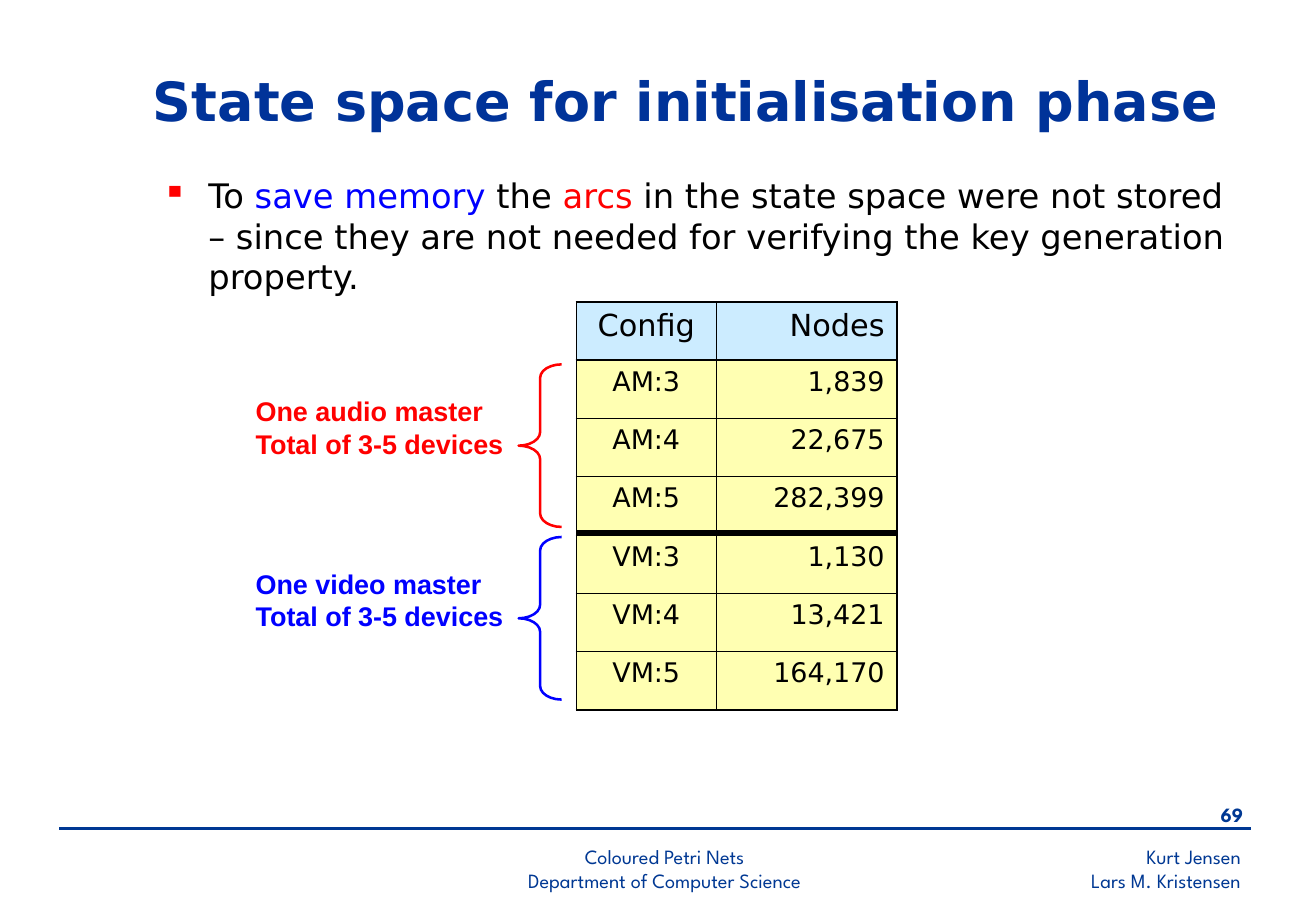
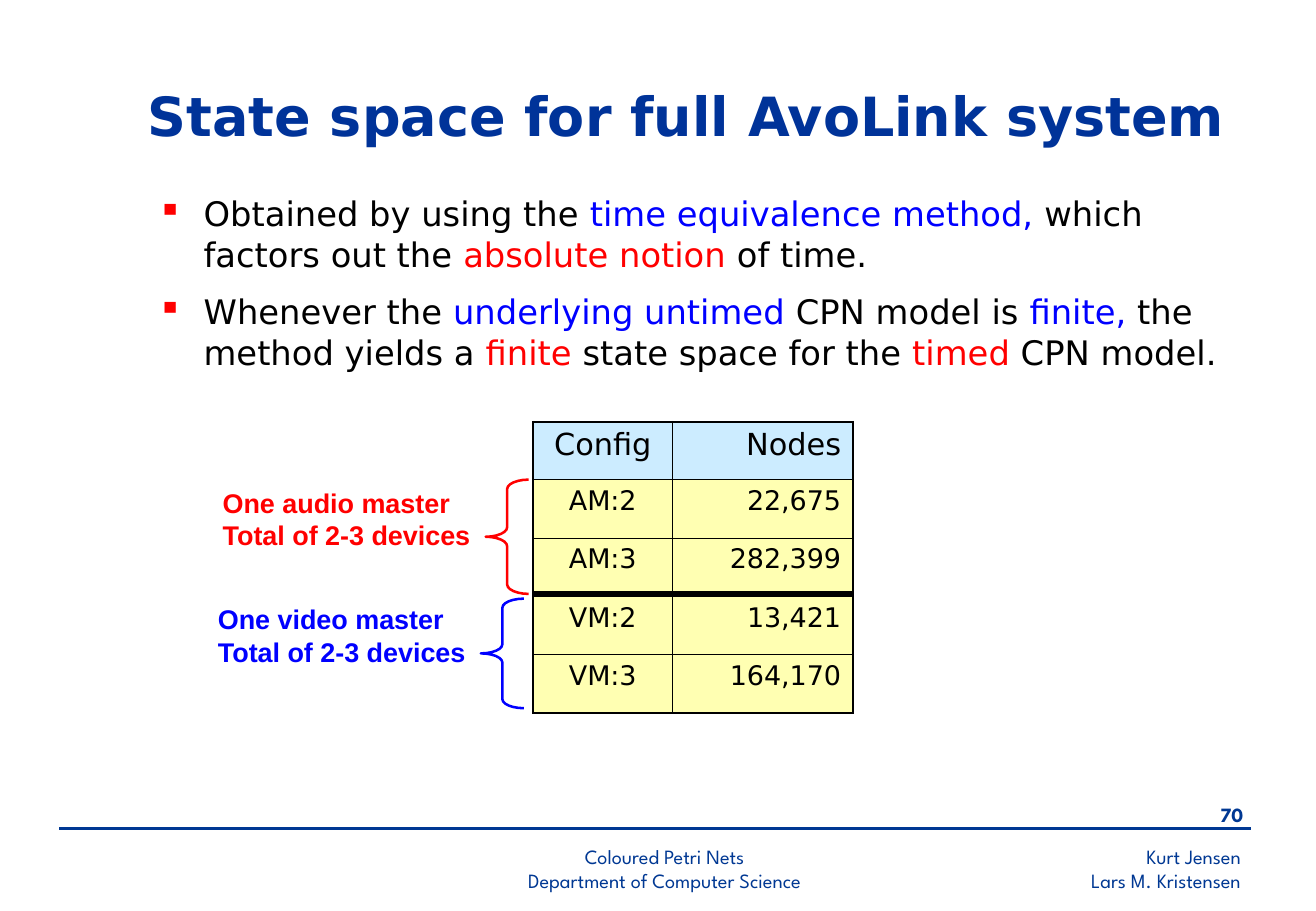
from lxml import etree
from pptx import Presentation
from pptx import util as u
from pptx.dml.color import RGBColor
from pptx.enum import shapes, text
from pptx.oxml import ns


class Theme:
    title_color = "003399"
    footer_color = "003893"
    ink = "000000"
    red = "FF0000"
    blue = "0000FF"
    header_fill = "CCECFF"
    row_fill = "FFFF66"
    row_alpha = 50
    thin, edge, rule, divider = 0.45, 1.08, 1.5, 3
    title = {"name": "DejaVu Sans", "size": u.Pt(32), "bold": True}
    body = {"name": "DejaVu Sans", "size": u.Pt(20)}
    header = {"name": "DejaVu Sans", "size": u.Pt(18)}
    cell = {"name": "DejaVu Sans", "size": u.Pt(16)}
    label = {"name": "Arial", "size": u.Pt(16), "bold": True}
    footer = {"name": "League Spartan", "size": u.Pt(12)}
    page = {"name": "League Spartan", "size": u.Pt(12), "bold": True}


LEFT, CENTER, RIGHT = (text.PP_ALIGN.LEFT, text.PP_ALIGN.CENTER, text.PP_ALIGN.RIGHT)
TOP, MIDDLE = text.MSO_ANCHOR.TOP, text.MSO_ANCHOR.MIDDLE

SLIDE_SIZE = (27.53, 19.05)
COLUMNS = ((2.92, CENTER), (3.78, RIGHT))
HEADER_HEIGHT, ROW_HEIGHT = 1.21, 1.22
DIVIDER_LIFT = 0.05
BRACE_WIDTH = 0.9
LABEL_SIZE = (6.3, 1.63)
LABEL_GAP, LABEL_LIFT = 5.75, 0.37

HEADINGS = ("Config", "Nodes")
FOOTERS = [
    ((17.65, 17.53, 8.56, 1.27), RIGHT, ("Kurt Jensen", "Lars M. Kristensen")),
    ((8.66, 17.53, 10.49, 1.19), CENTER,
     ("Coloured Petri Nets", "Department of Computer Science")),
]
PAGE_BOX = (24.46, 16.66, 1.8, 0.84)
FOOTER_RULE = (1.24, 17.32, 26.16, 17.32)

SLIDES = [
    {
        "page": 69,
        "title": "State space for initialisation phase",
        "title_box": (2.95, 1.22, 23.5, 1.75),
        "body_box": (3.15, 3.53, 22.91, 2.9),
        "bullets": [
            [("To ", Theme.ink), ("save memory", Theme.blue), (" the ", Theme.ink),
             ("arcs", Theme.red),
             (" in the state space were not stored – since they are not needed "
              "for verifying the key generation property.", Theme.ink)],
        ],
        "table_at": (12.06, 6.32),
        "groups": [
            {"label": ("One audio master", "Total of 3-5 devices"),
             "color": Theme.red, "brace": (10.85, 7.62, 3.4),
             "rows": [("AM:3", "1,839"), ("AM:4", "22,675"), ("AM:5", "282,399")]},
            {"label": ("One video master", "Total of 3-5 devices"),
             "color": Theme.blue, "brace": (10.85, 11.23, 3.4),
             "rows": [("VM:3", "1,130"), ("VM:4", "13,421"), ("VM:5", "164,170")]},
        ],
    },
    {
        "page": 70,
        "title": "State space for full AvoLink system",
        "title_box": (2.84, 1.52, 23.6, 1.75),
        "body_box": (3.05, 3.91, 23.39, 4.39),
        "bullets": [
            [("Obtained by using the ", Theme.ink),
             ("time equivalence method, ", Theme.blue),
             ("which factors out the ", Theme.ink),
             ("absolute notion", Theme.red), (" of time.", Theme.ink)],
            [("Whenever the ", Theme.ink), ("underlying untimed", Theme.blue),
             (" CPN model is ", Theme.ink), ("finite, ", Theme.blue),
             ("the method yields a ", Theme.ink), ("finite", Theme.red),
             (" state space for the ", Theme.ink), ("timed", Theme.red),
             (" CPN model.", Theme.ink)],
        ],
        "table_at": (11.15, 8.82),
        "groups": [
            {"label": ("One audio master", "Total of 2-3 devices"),
             "color": Theme.red, "brace": (10.16, 10.03, 2.39),
             "rows": [("AM:2", "22,675"), ("AM:3", "282,399")]},
            {"label": ("One video master", "Total of 2-3 devices"),
             "color": Theme.blue, "brace": (10.06, 12.52, 2.29),
             "rows": [("VM:2", "13,421"), ("VM:3", "164,170")]},
        ],
    },
]


def apply_format(target, values):
    for name, value in values.items():
        setattr(target, name, value)


def add_xml(parent, tag, **attributes):
    return etree.SubElement(parent, ns.qn(tag), attributes)


def lengths(values):
    return [u.Cm(value) for value in values]


def write_runs(paragraph, runs, font):
    for content, color in runs:
        run = paragraph.add_run()
        run.text = content
        apply_format(run.font, font)
        run.font.color.rgb = RGBColor.from_string(color)


def add_bullet(paragraph):
    properties = paragraph._p.get_or_add_pPr()
    properties.set("marL", str(u.Cm(0.96)))
    properties.set("indent", str(-u.Cm(0.96)))
    add_xml(add_xml(properties, "a:buClr"), "a:srgbClr", val=Theme.red)
    add_xml(properties, "a:buChar", char="▪")


def add_text(slide, box, paragraphs, font, align=LEFT, anchor=TOP, bulleted=False):
    frame = slide.shapes.add_textbox(*lengths(box)).text_frame
    apply_format(frame, {"word_wrap": True, "vertical_anchor": anchor})
    for index, runs in enumerate(paragraphs):
        paragraph = frame.add_paragraph() if index else frame.paragraphs[0]
        paragraph.alignment = align
        if bulleted:
            if index:
                paragraph.space_before = u.Pt(10)
            add_bullet(paragraph)
        write_runs(paragraph, runs, font)


def color_lines(lines, color):
    return [[(line, color)] for line in lines]


def style_line(line, color, width):
    line.color.rgb = RGBColor.from_string(color)
    line.width = u.Pt(width)


def add_line(slide, ends, color, width):
    line = slide.shapes.add_connector(shapes.MSO_CONNECTOR.STRAIGHT, *lengths(ends))
    style_line(line.line, color, width)
    add_xml(line._element.spPr, "a:effectLst")


def set_borders(cell, widths):
    properties = cell._tc.get_or_add_tcPr()
    for index, (side, width) in enumerate(zip("LRTB", widths)):
        border = etree.Element(ns.qn(f"a:ln{side}"), w=str(u.Pt(width)))
        add_xml(add_xml(border, "a:solidFill"), "a:srgbClr", val=Theme.ink)
        properties.insert(index, border)


def add_grid(slide, at, rows, row_height, font, fill, alpha=100):
    width = sum(column for column, _ in COLUMNS)
    box = (*at, width, row_height * len(rows))
    table = slide.shapes.add_table(len(rows), len(COLUMNS), *lengths(box)).table
    apply_format(table, {"first_row": False, "horz_banding": False})
    last_row, last_column = len(rows) - 1, len(COLUMNS) - 1
    for row_index, row in enumerate(rows):
        table.rows[row_index].height = u.Cm(row_height)
        for column_index, (column_width, align) in enumerate(COLUMNS):
            table.columns[column_index].width = u.Cm(column_width)
            cell = table.cell(row_index, column_index)
            cell.fill.solid()
            cell.fill.fore_color.rgb = RGBColor.from_string(fill)
            if alpha < 100:
                color = cell._tc.tcPr.find(".//" + ns.qn("a:srgbClr"))
                add_xml(color, "a:alpha", val=str(alpha * 1000))
            outer = (column_index == 0, column_index == last_column,
                     row_index == 0, row_index == last_row)
            set_borders(cell, [Theme.edge if side else Theme.thin for side in outer])
            paragraph = cell.text_frame.paragraphs[0]
            paragraph.alignment = align
            write_runs(paragraph, [(row[column_index], Theme.ink)], font)


def add_brace(slide, group):
    left, top, height = group["brace"]
    brace = slide.shapes.add_shape(
        shapes.MSO_SHAPE.LEFT_BRACE, *lengths((left, top, BRACE_WIDTH, height)))
    brace.shadow.inherit = False
    brace.fill.background()
    brace.adjustments[0] = height / 12 / BRACE_WIDTH
    style_line(brace.line, group["color"], Theme.rule)
    label_top = top + height / 2 - LABEL_LIFT - LABEL_SIZE[1] / 2
    add_text(slide, (left - LABEL_GAP, label_top, *LABEL_SIZE),
             color_lines(group["label"], group["color"]), Theme.label)


def add_frame(slide, page):
    for box, align, lines in FOOTERS:
        add_text(slide, box, color_lines(lines, Theme.footer_color), Theme.footer, align)
    add_text(slide, PAGE_BOX, [[(str(page), Theme.footer_color)]], Theme.page, RIGHT)
    add_line(slide, FOOTER_RULE, Theme.footer_color, Theme.rule)


def add_results(slide, at, groups):
    left, top = at
    rows_top = top + HEADER_HEIGHT
    rows = [row for group in groups for row in group["rows"]]
    add_grid(slide, at, [HEADINGS], HEADER_HEIGHT, Theme.header, Theme.header_fill)
    add_grid(slide, (left, rows_top), rows, ROW_HEIGHT, Theme.cell,
             Theme.row_fill, Theme.row_alpha)
    divider = rows_top + ROW_HEIGHT * len(groups[0]["rows"]) - DIVIDER_LIFT
    right = left + sum(column for column, _ in COLUMNS)
    add_line(slide, (left, divider, right, divider), Theme.ink, Theme.divider)
    for group in groups:
        add_brace(slide, group)


def main():
    presentation = Presentation()
    presentation.slide_width, presentation.slide_height = lengths(SLIDE_SIZE)
    for content in SLIDES:
        slide = presentation.slides.add_slide(presentation.slide_layouts[6])
        add_frame(slide, content["page"])
        add_text(slide, content["title_box"], [[(content["title"], Theme.title_color)]],
                 Theme.title, anchor=MIDDLE)
        add_text(slide, content["body_box"], content["bullets"], Theme.body, bulleted=True)
        add_results(slide, content["table_at"], content["groups"])
    presentation.save("out.pptx")


if __name__ == "__main__":
    main()
